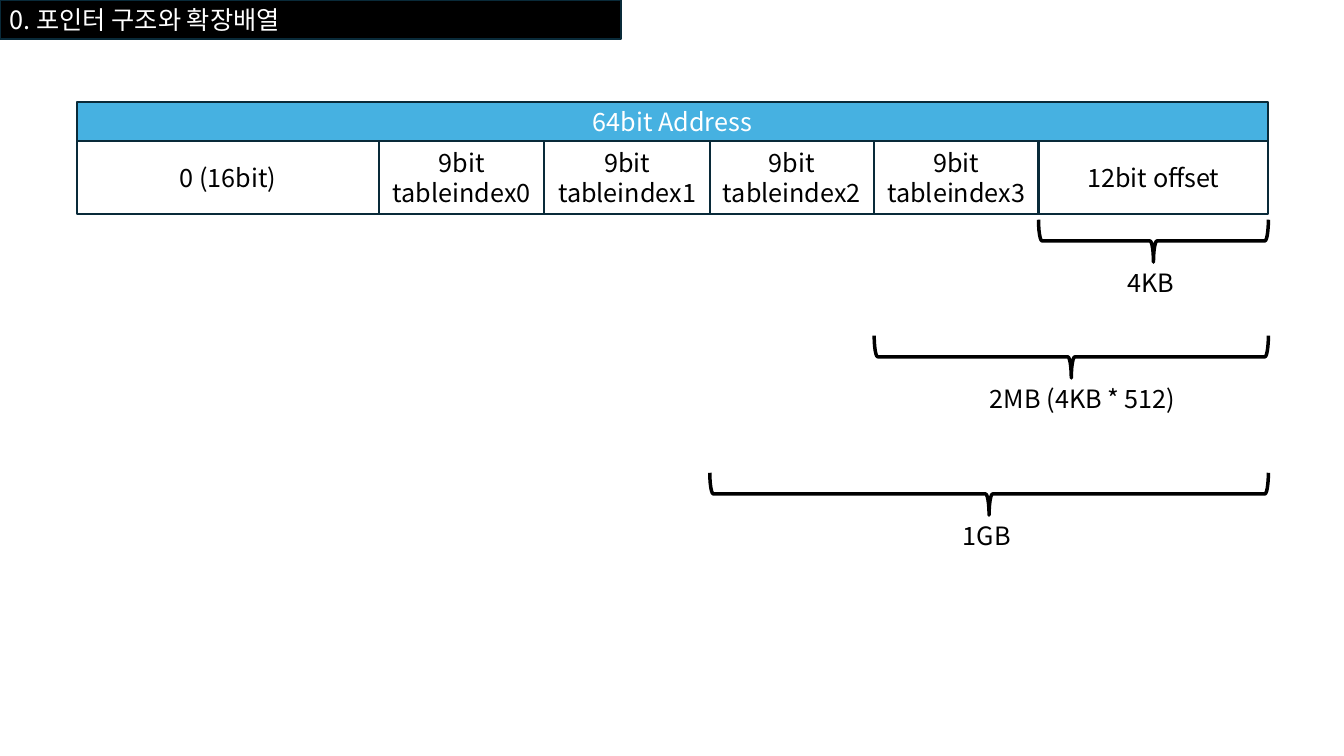
import pptx
import pptx.dml.color
import pptx.enum.shapes
import pptx.enum.text
import pptx.oxml.ns
import pptx.util
import lxml.etree

PX = 9144  # EMU per px, 100 px to the inch
COLORS = {"black": "000000", "white": "FFFFFF", "blue": "46B1E1", "border": "092A39"}
FONT = "Noto Sans CJK KR"
SHAPES = pptx.enum.shapes.MSO_SHAPE
ALIGN = pptx.enum.text.PP_ALIGN

# Field text and left edge; each field ends where the next one starts
FIELDS = [
    ("0 (16bit)", 76),
    ("9bit\ntableindex0", 376),
    ("9bit\ntableindex1", 540),
    ("9bit\ntableindex2", 704),
    ("9bit\ntableindex3", 867),
    ("12bit offset", 1030),
]
ADDRESS_RIGHT = 1258

# Reach text, first field covered, top of the brace, label left and width
REACHES = [
    ("4KB", 5, 218, 1108, 72),
    ("2MB (4KB * 512)", 4, 333, 972, 212),
    ("1GB", 3, 469, 945, 72),
]


def rgb(color):
    return pptx.dml.color.RGBColor.from_string(COLORS[color])


def emu(*lengths):
    return [length * PX for length in lengths]


def write(frame, text, color, align):
    frame.text = text
    for paragraph in frame.paragraphs:
        paragraph.alignment = align
        font_format = {"name": FONT, "size": pptx.util.Pt(18)}
        for attribute, value in font_format.items():
            setattr(paragraph.font, attribute, value)
        for run in paragraph.runs:
            for attribute, value in font_format.items():
                setattr(run.font, attribute, value)
            run.font.color.rgb = rgb(color)
            # Korean letters take the East Asian font
            east_asian = lxml.etree.SubElement(
                run.font._element, pptx.oxml.ns.qn("a:ea"))
            east_asian.set("typeface", FONT)


def add_bar(slide, box, text, fill, color, align=ALIGN.CENTER):
    bar = slide.shapes.add_shape(SHAPES.RECTANGLE, *emu(*box))
    bar.shadow.inherit = False
    bar.fill.solid()
    bar.fill.fore_color.rgb = rgb(fill)
    bar.line.color.rgb = rgb("border")
    bar.line.width = pptx.util.Pt(1.5)
    frame_format = {"word_wrap": True,
                    "vertical_anchor": pptx.enum.text.MSO_ANCHOR.MIDDLE}
    for attribute, value in frame_format.items():
        setattr(bar.text_frame, attribute, value)
    write(bar.text_frame, text, color, align)


def add_address(slide, left, top, width, height):
    header_height = 39
    add_bar(slide, (left, top, width, header_height), "64bit Address", "blue", "white")
    edges = [edge for _, edge in FIELDS] + [left + width]
    for (text, start), end in zip(FIELDS, edges[1:]):
        field_box = (start, top + header_height, end - start, height - header_height)
        add_bar(slide, field_box, text, "white", "black")


def add_reach(slide, left, top, width, height, text, label_left, label_width):
    # The brace is drawn upright around the same centre, then turned
    brace_left = left + (width - height) / 2
    brace_top = top + (height - width) / 2
    brace_box = [round(value) for value in emu(brace_left, brace_top, height, width)]
    brace = slide.shapes.add_shape(SHAPES.RIGHT_BRACE, *brace_box)
    brace.rotation = 90
    brace.shadow.inherit = False
    brace.fill.background()
    brace.line.color.rgb = rgb("black")
    brace.line.width = pptx.util.Pt(2.5)

    label = slide.shapes.add_textbox(*emu(label_left, top + height, label_width, 40))
    label.text_frame.word_wrap = True
    write(label.text_frame, text, "black", ALIGN.LEFT)


def main():
    presentation = pptx.Presentation()
    presentation.slide_width, presentation.slide_height = emu(1333, 750)
    slide = presentation.slides.add_slide(presentation.slide_layouts[6])

    # Title
    add_bar(slide, (0, 0, 616, 39), "0. 포인터 구조와 확장배열", "black", "white", ALIGN.LEFT)

    # Address with its fields
    address_left = FIELDS[0][1]
    add_address(slide, address_left, 101, ADDRESS_RIGHT - address_left, 111)

    # Memory reached by the trailing fields
    for text, first_field, top, label_left, label_width in REACHES:
        left = FIELDS[first_field][1]
        add_reach(slide, left, top, ADDRESS_RIGHT - left, 42, text, label_left, label_width)

    presentation.save("out.pptx")


if __name__ == "__main__":
    main()
